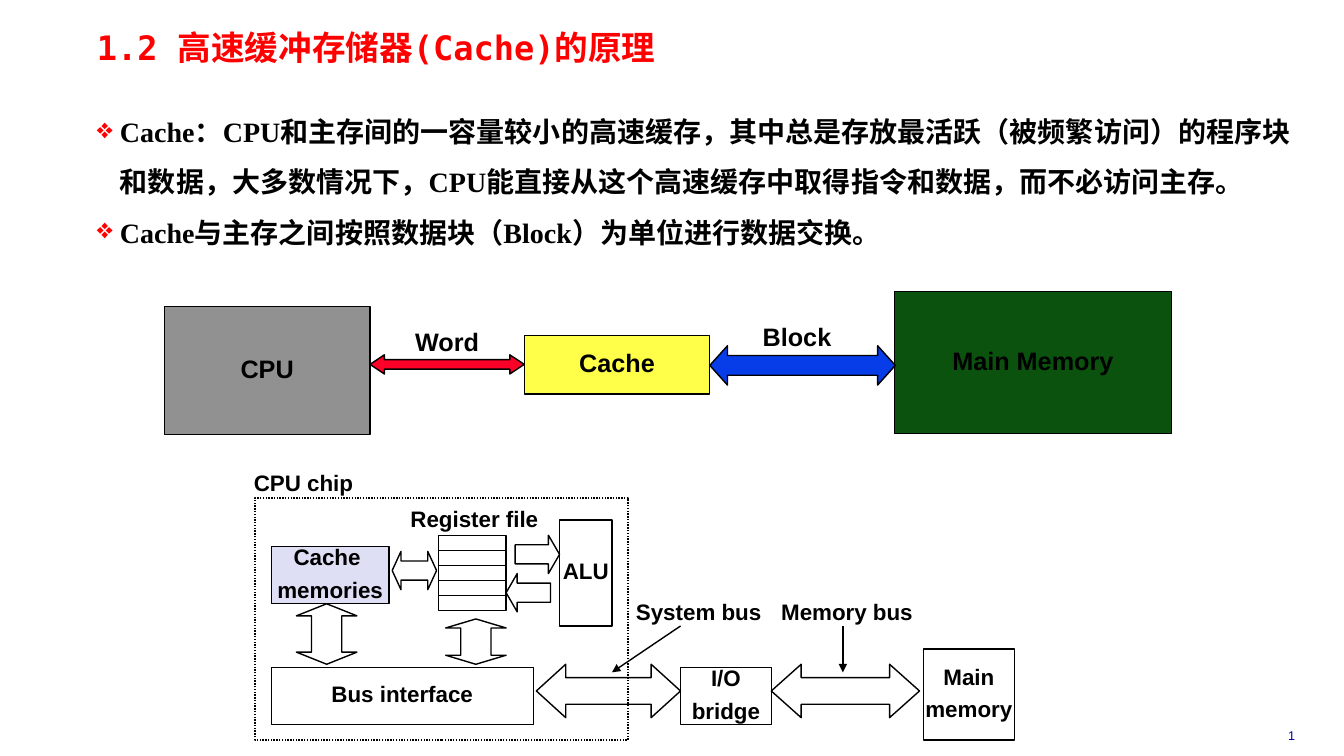
import dataclasses

import lxml.etree
import pptx
import pptx.dml.color
import pptx.enum.dml
import pptx.enum.shapes
import pptx.enum.text
import pptx.oxml.ns
import pptx.util

SHAPE = pptx.enum.shapes.MSO_SHAPE
ANCHOR = pptx.enum.text.MSO_ANCHOR
ALIGN = pptx.enum.text.PP_ALIGN
CELL = 0.1  # inches per grid column and row


@dataclasses.dataclass(frozen=True)
class Theme:
    heading_font: str = "DejaVu Sans Mono"
    body_font: str = "Times New Roman"
    label_font: str = "Arial"
    heading_size: int = 24
    body_size: int = 20
    large_label: int = 18
    small_label: int = 16
    number_size: int = 9
    accent: str = "FF0000"
    ink: str = "000000"
    number: str = "000099"
    cpu: str = "919191"
    cache: str = "FFFF49"
    memory: str = "0A520D"
    word: str = "FC0128"
    block: str = "063DE8"
    chip_cache: str = "DEDFF5"


THEME = Theme()


@dataclasses.dataclass(frozen=True)
class Region:
    """A slide area whose parts are placed in grid columns and rows."""
    slide: object
    left: float
    top: float
    width: float
    height: float

    def point(self, column, row):
        return (pptx.util.Inches(self.left + column * CELL),
                pptx.util.Inches(self.top + row * CELL))

    def box(self, column, row, columns, rows):
        return (*self.point(column, row),
                pptx.util.Inches(columns * CELL), pptx.util.Inches(rows * CELL))

    def whole(self):
        return self.box(0, 0, self.width / CELL, self.height / CELL)


def rgb(code):
    return pptx.dml.color.RGBColor.from_string(code)


def write(frame, text, font, size, color, bold=True, align=ALIGN.LEFT, spacing=1.0, before=0):
    frame.text = text
    for paragraph in frame.paragraphs:
        paragraph.alignment = align
        paragraph.line_spacing = spacing
        paragraph.space_before = pptx.util.Pt(before)
        for run in paragraph.runs:
            run.font.name = font
            run.font.size = pptx.util.Pt(size)
            run.font.bold = bold
            run.font.color.rgb = rgb(color)


def set_insets(frame):
    frame.margin_left = frame.margin_right = pptx.util.Inches(0.07)
    frame.margin_top = frame.margin_bottom = pptx.util.Inches(0.03)


def write_label(frame, text, size):
    frame.word_wrap = False
    frame.vertical_anchor = ANCHOR.MIDDLE
    write(frame, text, THEME.label_font, size, THEME.ink,
          align=ALIGN.CENTER, spacing=0.85, before=round(size * 0.46))


def add_part(region, kind, box, fill=None, text="", size=THEME.small_label):
    part = region.slide.shapes.add_shape(kind, *region.box(*box))
    part.shadow.inherit = False
    if fill:
        part.fill.solid()
        part.fill.fore_color.rgb = rgb(fill)
    else:
        part.fill.background()
    part.line.color.rgb = rgb(THEME.ink)
    part.line.width = pptx.util.Pt(1)
    if text:
        write_label(part.text_frame, text, size)
    return part


def add_arrow(region, kind, box, head, fill=None):
    """Add a block arrow with a half-width shaft; its guides are set by name,
    since their order differs between arrow kinds."""
    arrow = add_part(region, kind, box, fill)
    qn = pptx.oxml.ns.qn
    guides = arrow._element.spPr.find(qn("a:prstGeom")).find(qn("a:avLst"))
    for guide in list(guides):
        guides.remove(guide)
    for name, share in (("adj1", 0.5), ("adj2", head)):
        lxml.etree.SubElement(guides, qn("a:gd"), name=name, fmla=f"val {round(share * 100000)}")


def add_caption(region, box, text, size=THEME.small_label, anchor=ANCHOR.MIDDLE):
    caption = region.slide.shapes.add_textbox(*region.box(*box)).text_frame
    write_label(caption, text, size)
    caption.vertical_anchor = anchor
    return caption


def add_pointer(region, start, end):
    pointer = region.slide.shapes.add_connector(
        pptx.enum.shapes.MSO_CONNECTOR.STRAIGHT, *region.point(*start), *region.point(*end))
    pointer.line.color.rgb = rgb(THEME.ink)
    pointer.line.width = pptx.util.Pt(1)
    qn = pptx.oxml.ns.qn
    lxml.etree.SubElement(pointer.line._get_or_add_ln(), qn("a:tailEnd"), type="triangle")
    lxml.etree.SubElement(pointer._element.spPr, qn("a:effectLst"))


def add_heading(region):
    heading = region.slide.shapes.title
    heading.left, heading.top, heading.width, heading.height = region.whole()
    frame = heading.text_frame
    set_insets(frame)
    frame.vertical_anchor = ANCHOR.TOP
    frame.auto_size = pptx.enum.text.MSO_AUTO_SIZE.NONE
    write(frame, "1.2 高速缓冲存储器(Cache)的原理", THEME.heading_font,
          THEME.heading_size, THEME.accent, spacing=0.87)


def add_definitions(region):
    frame = region.slide.shapes.add_textbox(*region.whole()).text_frame
    frame.word_wrap = True
    set_insets(frame)
    definitions = (
        "Cache：CPU和主存间的一容量较小的高速缓存，其中总是存放最活跃（被频繁访问）的程序块和数据，"
        "大多数情况下，CPU能直接从这个高速缓存中取得指令和数据，而不必访问主存。",
        "Cache与主存之间按照数据块（Block）为单位进行数据交换。",
    )
    write(frame, "\n".join(definitions), THEME.body_font, THEME.body_size, THEME.ink, spacing=1.5)
    qn = pptx.oxml.ns.qn
    hanging = pptx.util.Inches(0.23)
    for paragraph in frame.paragraphs:
        properties = paragraph._p.get_or_add_pPr()
        properties.set("marL", str(hanging))
        properties.set("indent", str(-hanging))
        bullet_color = lxml.etree.SubElement(properties, qn("a:buClr"))
        lxml.etree.SubElement(bullet_color, qn("a:srgbClr"), val=THEME.accent)
        lxml.etree.SubElement(properties, qn("a:buChar"), char="❖")


def add_hierarchy(region):
    """CPU, cache and main memory with the units moved between them."""
    for box, fill, text in (
        ((0, 1.5, 20.4, 12.7), THEME.cpu, "CPU"),
        ((35.7, 4.4, 18.4, 5.8), THEME.cache, "Cache"),
        ((72.4, 0, 27.5, 14.1), THEME.memory, "Main Memory"),
    ):
        add_part(region, SHAPE.RECTANGLE, box, fill, text, THEME.large_label)
    add_arrow(region, SHAPE.LEFT_RIGHT_ARROW, (20.4, 6.3, 15.3, 1.9), 0.75, THEME.word)
    add_arrow(region, SHAPE.LEFT_RIGHT_ARROW, (54.1, 5.4, 18.4, 3.9), 0.45, THEME.block)
    for box, text in (((20.4, 3.4, 15.3, 2.1), "Word"), ((54.1, 2.9, 17.3, 2.1), "Block")):
        add_caption(region, box, text, THEME.large_label, ANCHOR.TOP).word_wrap = True


def add_bus_structure(region):
    """The CPU chip with its parts, and the buses to main memory."""
    for box, text, fill in (
        ((66.3, 15, 9, 9), "Main\nmemory", None),
        ((42.2, 16.8, 9, 5.7), "I/O\nbridge", None),
        ((1.6, 16.8, 26, 5.7), "Bus interface", None),
        ((30.2, 2.2, 5.2, 10.5), "ALU", None),
        ((1.6, 4.8, 11.7, 5.7), "Cache \nmemories", THEME.chip_cache),
    ):
        add_part(region, SHAPE.RECTANGLE, box, fill, text)
    for register in range(5):
        add_part(region, SHAPE.RECTANGLE, (18.2, 3.7 + 1.5 * register, 6.7, 1.5))
    for kind, box, head in (
        (SHAPE.LEFT_RIGHT_ARROW, (51.2, 16.5, 14.7, 5.3), 0.56),
        (SHAPE.LEFT_RIGHT_ARROW, (27.9, 16.5, 14.3, 5.3), 0.55),
        (SHAPE.LEFT_RIGHT_ARROW, (13.6, 5.3, 4.4, 3.8), 0.23),
        (SHAPE.RIGHT_ARROW, (25.8, 3.7, 4.4, 3.8), 0.29),
        (SHAPE.LEFT_ARROW, (24.9, 7.5, 4.4, 3.8), 0.29),
        (SHAPE.UP_DOWN_ARROW, (18.9, 12, 6, 4.5), 0.2),
        (SHAPE.UP_DOWN_ARROW, (4.1, 10.5, 6, 6), 0.2),
    ):
        add_arrow(region, kind, box, head)
    chip = add_part(region, SHAPE.RECTANGLE, (0, 0, 37, 24))
    chip.line.dash_style = pptx.enum.dml.MSO_LINE.ROUND_DOT
    for box, text in (
        ((-1.2, -3, 12, 3.3), "CPU chip"),
        ((14.3, 0.6, 14.9, 3.3), "Register file"),
        ((36.7, 9.8, 14.6, 3.3), "System bus"),
        ((51.1, 9.8, 15.2, 3.3), "Memory bus"),
    ):
        add_caption(region, box, text)
    add_pointer(region, (42.2, 12.7), (35.4, 17.3))
    add_pointer(region, (58.3, 12.7), (58.3, 17.3))


def add_page_number(region):
    frame = region.slide.shapes.add_textbox(*region.whole()).text_frame
    frame.word_wrap = True
    write(frame, "1", THEME.label_font, THEME.number_size, THEME.number,
          bold=False, align=ALIGN.CENTER)


def main():
    deck = pptx.Presentation()
    deck.slide_width = pptx.util.Inches(13.33)
    deck.slide_height = pptx.util.Inches(7.5)
    slide = deck.slides.add_slide(deck.slide_layouts.get_by_name("Title Only"))
    add_page_number(Region(slide, 12.34, 7.17, 0.94, 0.25))
    add_heading(Region(slide, 0.89, 0.29, 7.67, 0.41))
    add_definitions(Region(slide, 0.89, 0.94, 12, 1.57))
    add_hierarchy(Region(slide, 1.63, 2.89, 9.99, 1.42))
    add_bus_structure(Region(slide, 2.53, 4.94, 7.53, 2.4))
    deck.save("out.pptx")


if __name__ == "__main__":
    main()
